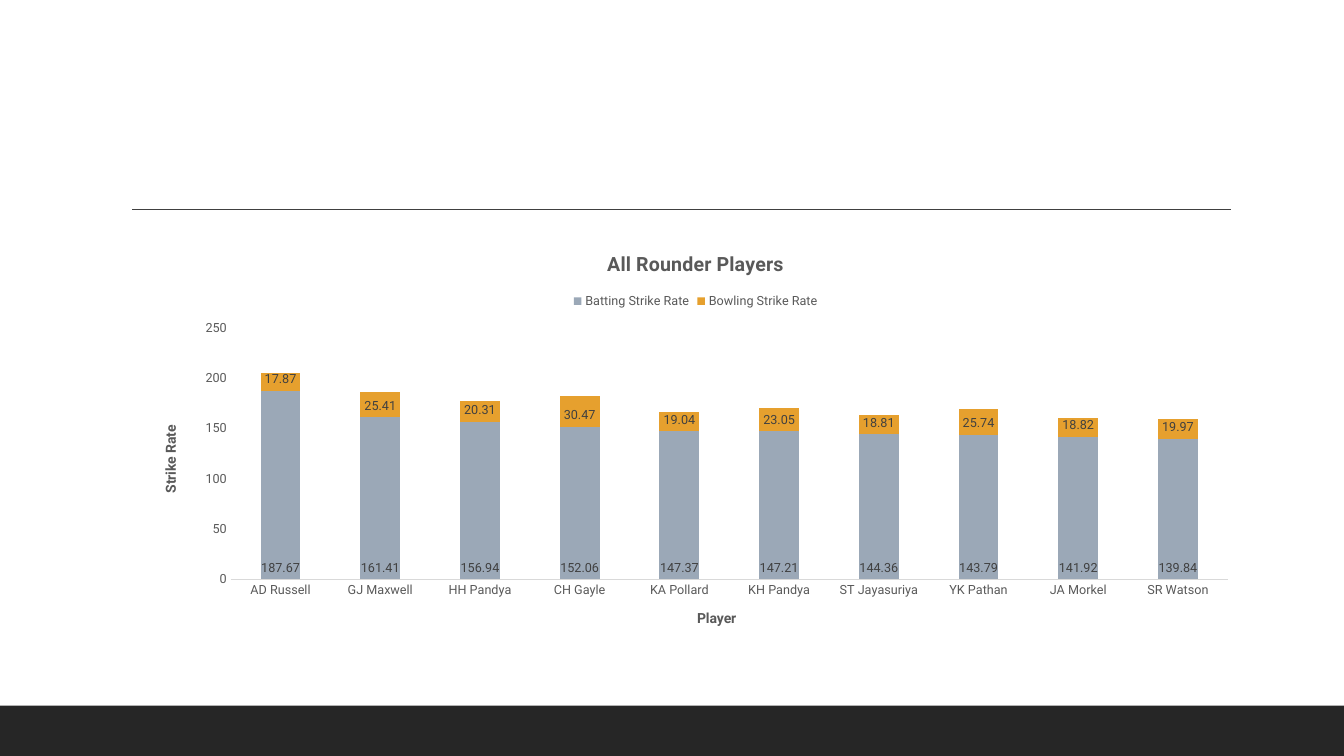
from pptx import Presentation
from pptx.chart.data import CategoryChartData
from pptx.dml.color import RGBColor
from pptx.enum.chart import (XL_CHART_TYPE as ChartType, XL_LABEL_POSITION as LabelPos,
                             XL_LEGEND_POSITION as LegendPos, XL_TICK_MARK as TickMark)
from pptx.enum.shapes import MSO_CONNECTOR as Connector, MSO_SHAPE as Shape
from pptx.oxml.ns import qn
from pptx.util import Cm, Pt
from lxml import etree

FONT = "Roboto"
FOOTER = RGBColor(0x26, 0x26, 0x26)
DARK = RGBColor(0x40, 0x40, 0x40)
GREY = RGBColor(0x59, 0x59, 0x59)
PALE = RGBColor(0xD9, 0xD9, 0xD9)
BLUE_GREY = RGBColor(0x9B, 0xA8, 0xB7)
ORANGE = RGBColor(0xE6, 0xA0, 0x2E)

WIDTH, HEIGHT = Cm(33.87), Cm(19.05)
PLAYERS = ["AD Russell", "GJ Maxwell", "HH Pandya", "CH Gayle", "KA Pollard",
           "KH Pandya", "ST Jayasuriya", "YK Pathan", "JA Morkel", "SR Watson"]
STRIKE_RATES = {
    "Batting Strike Rate": (BLUE_GREY, [187.67, 161.41, 156.94, 152.06, 147.37,
                                        147.21, 144.36, 143.79, 141.92, 139.84]),
    "Bowling Strike Rate": (ORANGE, [17.87, 25.41, 20.31, 30.47, 19.04,
                                     23.05, 18.81, 25.74, 18.82, 19.97]),
}


def set_font(font, size, color=GREY, bold=False):
    """Give a font its face, size, colour and weight."""
    font.name, font.size, font.bold = FONT, Pt(size), bold
    font.color.rgb = color


def set_title(owner, text, size):
    """Write a bold title on a chart or an axis."""
    p = owner.text_frame.paragraphs[0]
    p.text = text
    set_font(p.runs[0].font, size, bold=True)


def add_footer(s, x, y, w, h):
    """Draw the dark band that fills the given box."""
    sp = s.shapes.add_shape(Shape.RECTANGLE, x, y, w, h)
    sp.shadow.inherit = False
    sp.fill.solid()
    sp.fill.fore_color.rgb = FOOTER
    sp.line.fill.background()


def add_rule(s, x, y, w):
    """Draw the thin horizontal rule of the given width."""
    rule = s.shapes.add_connector(Connector.STRAIGHT, x, y, x + w, y)
    rule.line.color.rgb = DARK
    rule.line.width = Pt(1)
    etree.SubElement(rule._element.spPr, qn("a:effectLst"))


def format_axis(axis, title):
    """Style an axis without gridlines or tick marks."""
    axis.has_major_gridlines = False
    axis.major_tick_mark = axis.minor_tick_mark = TickMark.NONE
    set_font(axis.tick_labels.font, 9)
    set_title(axis.axis_title, title, 10)


def format_series(series, color):
    """Fill a series and label its values at the base of the bars."""
    series.format.fill.solid()
    series.format.fill.fore_color.rgb = color
    series.invert_if_negative = False
    labels = series.data_labels
    labels.show_value = True
    labels.position = LabelPos.INSIDE_BASE
    set_font(labels.font, 9, DARK)


def add_strike_rate_chart(s, x, y, w, h):
    """Place the stacked strike rate chart in the given box."""
    data = CategoryChartData(number_format="General")
    data.categories = PLAYERS
    for name, (_, values) in STRIKE_RATES.items():
        data.add_series(name, values)
    chart = s.shapes.add_chart(ChartType.COLUMN_STACKED, x, y, w, h, data).chart
    set_font(chart.font, 10, RGBColor(0, 0, 0))
    set_title(chart.chart_title, "All Rounder Players", 14)
    chart.chart_title.include_in_layout = False

    chart.has_legend = True
    chart.legend.position = LegendPos.TOP
    chart.legend.include_in_layout = False
    set_font(chart.legend.font, 9)

    format_axis(chart.category_axis, "Player")
    format_axis(chart.value_axis, "Strike Rate")
    chart.category_axis.format.line.color.rgb = PALE
    chart.category_axis.format.line.width = Pt(0.75)
    chart.value_axis.format.line.fill.background()

    plot = chart.plots[0]
    plot.gap_width, plot.overlap, plot.vary_by_categories = 150, 100, False
    for series in plot.series:
        format_series(series, STRIKE_RATES[series.name][0])


def main():
    """Build the slide and save it."""
    prs = Presentation()
    prs.slide_width, prs.slide_height = WIDTH, HEIGHT
    s = prs.slides.add_slide(prs.slide_layouts[6])
    footer_height = Cm(1.27)
    add_footer(s, 0, HEIGHT - footer_height, WIDTH, footer_height)
    add_rule(s, Cm(3.33), Cm(5.28), Cm(27.68))
    add_strike_rate_chart(s, Cm(3.56), Cm(5.87), Cm(27.94), Cm(10.44))
    prs.save("out.pptx")


if __name__ == "__main__":
    main()
